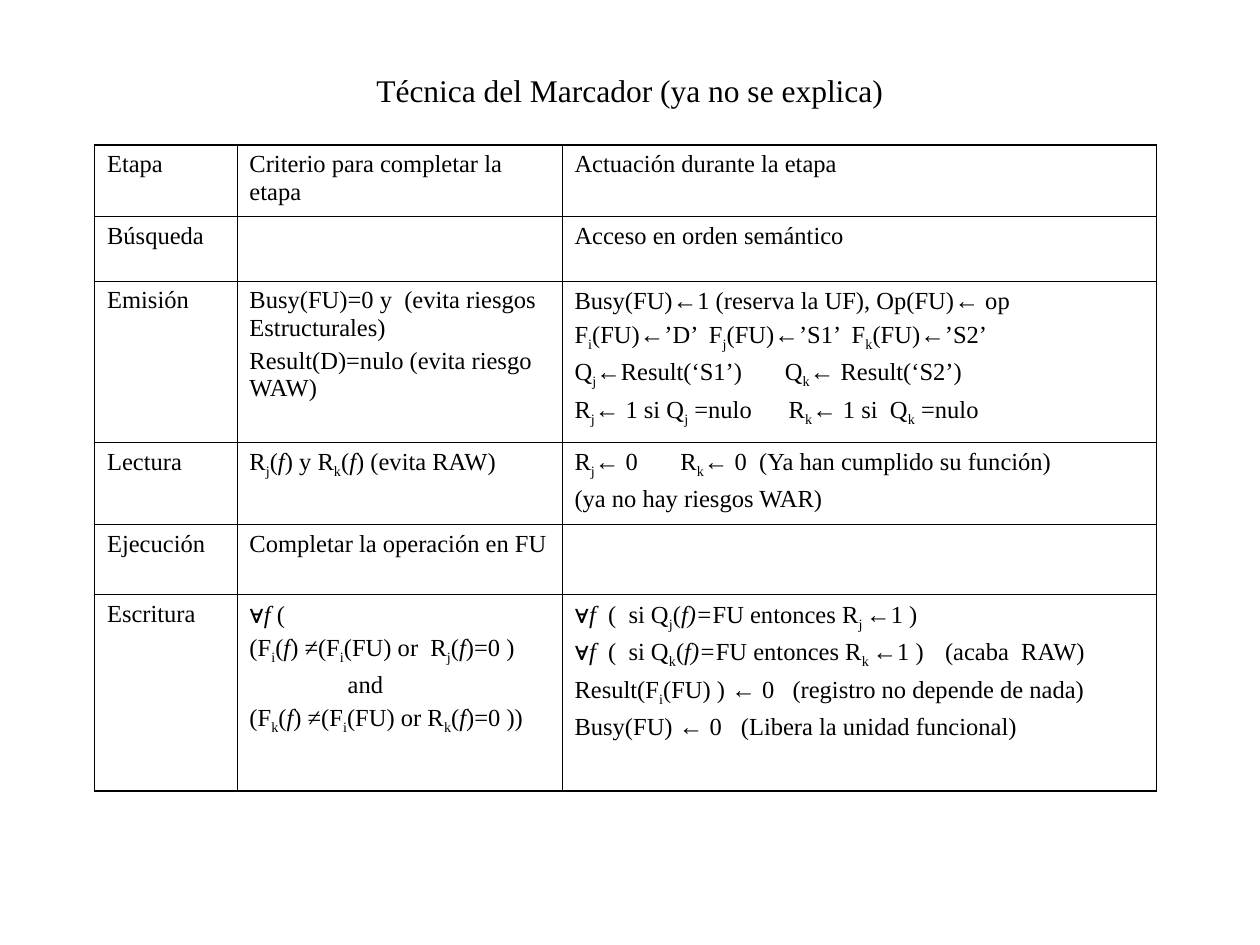
from itertools import groupby

from lxml import etree
from pptx import Presentation, util as u
from pptx.dml.color import RGBColor
from pptx.enum import text
from pptx.oxml import ns

BLACK = RGBColor(0x00, 0x00, 0x00)
SERIF, SYMBOL = "Times New Roman", "Arial"
INNER_LINE, OUTER_LINE = u.Pt(0.45), u.Pt(1.08)

# Column widths and row heights, in percent of the slide
COLUMNS = [11.3, 25.8, 47.2]
ROWS = [7.6, 6.8, 17.07, 8.67, 7.47, 20.8]

# Line format values: tab stop and left indent, in percent of the slide width
TAB, INDENT = "tab", "indent"

# Each cell is a list of lines; "_" lowers the next letter, "~" slants it
STAGES = [
    [["Etapa"], ["Criterio para completar la etapa"], ["Actuación durante la etapa"]],
    [["Búsqueda"], [], ["Acceso en orden semántico"]],
    [["Emisión"],
     ["Busy(FU)=0 y  (evita riesgos Estructurales)",
      "Result(D)=nulo (evita riesgo WAW)"],
     ["Busy(FU)←1 (reserva la UF), Op(FU)← op",
      "F_i(FU)←’D’  F_j(FU)←’S1’  F_k(FU)←’S2’",
      ("Q_j←Result(‘S1’)\tQ_k← Result(‘S2’)", {TAB: 16.7}),
      ("R_j← 1 si Q_j =nulo\tR_k← 1 si  Q_k =nulo", {TAB: 17})]],
    [["Lectura"],
     ["R_j(~f) y R_k(~f) (evita RAW)"],
     [("R_j← 0\tR_k← 0  (Ya han cumplido su función)", {TAB: 8.4}),
      "(ya no hay riesgos WAR)"]],
    [["Ejecución"], ["Completar la operación en FU"], []],
    [["Escritura"],
     ["∀~f (",
      "(F_i(~f) ≠(F_i(FU) or  R_j(~f)=0 )",
      ("and", {INDENT: 7.8}),
      "(F_k(~f) ≠(F_i(FU) or R_k(~f)=0 ))"],
     ["∀~f  (  si Q_j(~f~)~=FU entonces R_j_ ←1 )",
      ("∀~f  (  si Q_k(~f~)~=FU entonces R_k_ ←1 )\t(acaba  RAW)", {TAB: 29.4}),
      ("Result(F_i(FU) ) ← 0\t(registro no depende de nada)", {TAB: 17.3}),
      ("Busy(FU) ← 0\t(Libera la unidad funcional)", {TAB: 13.2})]],
]


def styled_letters(line):
    """Yield each letter with its mark and font name."""
    mark = ""
    for letter in line:
        if letter in "_~":
            mark = letter
            continue
        yield letter, (mark, SYMBOL if letter in "←∀" else SERIF)
        mark = ""


class SlideBuilder:
    def __init__(self, presentation):
        self.width, self.height = presentation.slide_width, presentation.slide_height
        self.slide = presentation.slides.add_slide(presentation.slide_layouts[6])

    def across(self, percent):
        return u.Emu(round(self.width * percent / 100))

    def down(self, percent):
        return u.Emu(round(self.height * percent / 100))

    def add_line(self, paragraph, line, size):
        for (mark, font_name), letters in groupby(styled_letters(line), lambda pair: pair[1]):
            run = paragraph.add_run()
            run.text = "".join(letter for letter, _ in letters)
            values = {"name": font_name, "size": u.Pt(size), "italic": mark == "~"}
            for name, value in values.items():
                setattr(run.font, name, value)
            run.font.color.rgb = BLACK
            if mark == "_":
                run._r.get_or_add_rPr().set("baseline", "-25000")

    def arrange(self, paragraph, layout):
        properties = paragraph._p.get_or_add_pPr()
        if INDENT in layout:
            properties.set("marL", str(self.across(layout[INDENT])))
        if TAB in layout:
            tabs = etree.SubElement(properties, ns.qn("a:tabLst"))
            etree.SubElement(tabs, ns.qn("a:tab"), pos=str(self.across(layout[TAB])), algn="l")

    def title(self, left, top, width, height, line):
        box = self.slide.shapes.add_textbox(
            self.across(left), self.down(top), self.across(width), self.down(height))
        frame = box.text_frame
        values = {"word_wrap": True, "vertical_anchor": text.MSO_ANCHOR.MIDDLE}
        for name, value in values.items():
            setattr(frame, name, value)
        frame.paragraphs[0].alignment = text.PP_ALIGN.CENTER
        self.add_line(frame.paragraphs[0], line, 18)

    def cell(self, cell, lines):
        frame = cell.text_frame
        for index, line in enumerate(lines):
            content, layout = line if isinstance(line, tuple) else (line, {})
            paragraph = frame.add_paragraph() if index else frame.paragraphs[0]
            self.arrange(paragraph, layout)
            if index:
                paragraph.space_before = u.Pt(3.5)
            self.add_line(paragraph, content, 14)
        if not lines:
            frame.paragraphs[0].font.size = u.Pt(14)

    def borders(self, cell, outer_sides):
        cell.fill.background()
        properties = cell._tc.get_or_add_tcPr()
        for index, side in enumerate("LRTB"):
            width = OUTER_LINE if outer_sides[side] else INNER_LINE
            line = etree.Element(ns.qn(f"a:ln{side}"), w=str(width))
            fill = etree.SubElement(line, ns.qn("a:solidFill"))
            etree.SubElement(fill, ns.qn("a:srgbClr"), val=str(BLACK))
            properties.insert(index, line)

    def table(self, left, top, columns, rows, contents):
        table = self.slide.shapes.add_table(
            len(rows), len(columns), self.across(left), self.down(top),
            self.across(sum(columns)), self.down(sum(rows))).table
        table.first_row = table.horz_banding = False
        for column, width in zip(table.columns, columns):
            column.width = self.across(width)
        for r, (row, height) in enumerate(zip(table.rows, rows)):
            row.height = self.down(height)
            for c, lines in enumerate(contents[r]):
                cell = table.cell(r, c)
                self.cell(cell, lines)
                self.borders(cell, {"L": c == 0, "R": c == len(columns) - 1,
                                    "T": r == 0, "B": r == len(rows) - 1})


def main():
    presentation = Presentation()
    presentation.slide_width, presentation.slide_height = u.Inches(10), u.Inches(7.5)
    builder = SlideBuilder(presentation)

    # Heading
    builder.title(7.5, 6.67, 85, 5.6, "Técnica del Marcador (ya no se explica)")

    # Stages of the scoreboard
    builder.table(7.5, 15.33, COLUMNS, ROWS, STAGES)

    presentation.save("out.pptx")


if __name__ == "__main__":
    main()
